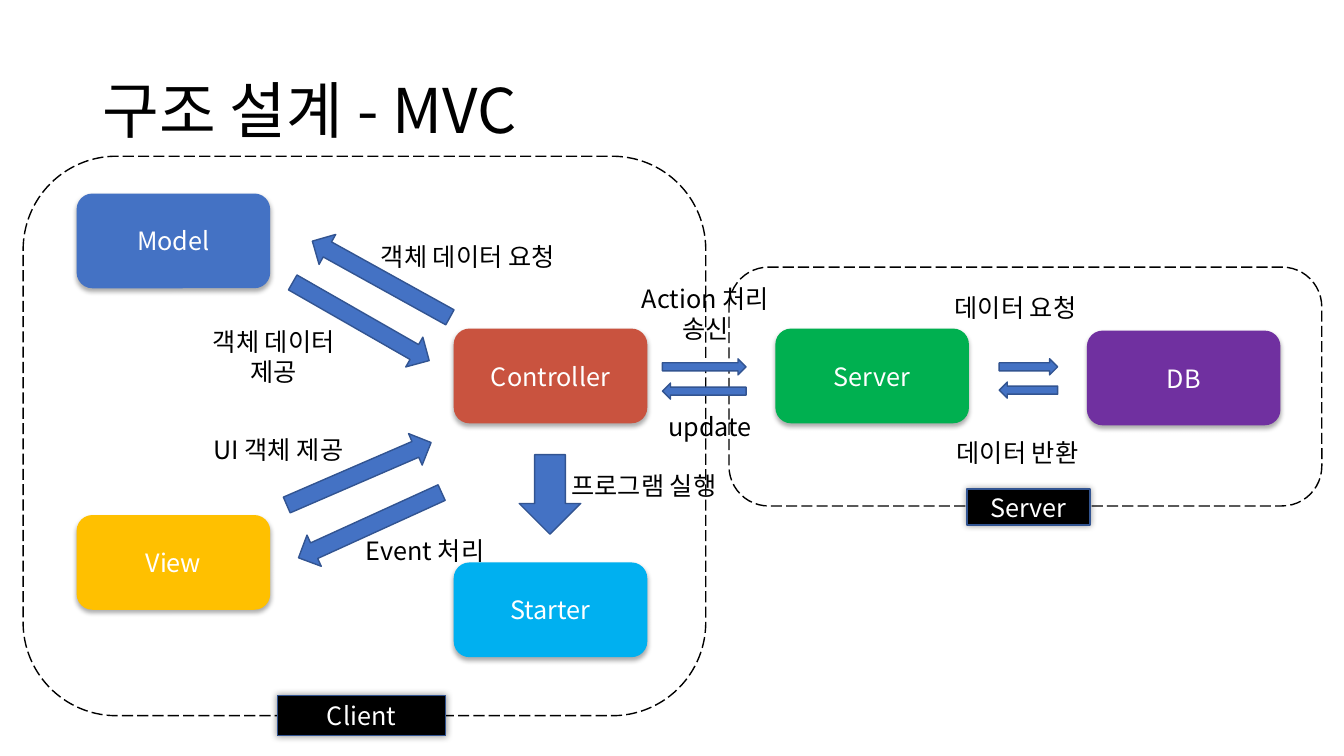
from pptx import Presentation
from pptx.dml.color import RGBColor
from pptx.enum.dml import MSO_LINE
from pptx.enum.shapes import MSO_SHAPE as Shape
from pptx.enum.text import MSO_ANCHOR as Anchor, PP_ALIGN as Align
from pptx.oxml.ns import qn
from pptx.util import Pt
from lxml.etree import SubElement

PX = 9144  # 100 px to the inch
FONT = "Noto Sans CJK KR"
NODE_SIZE = (192, 94)
COLORS = {
    "black": "000000", "white": "FFFFFF", "arrow": "4472C4", "edge": "325491",
    "model": "4472C4", "view": "FFC000", "controller": "C9533F",
    "starter": "00B0F0", "server": "00B050", "db": "7030A0",
}


def color(name):
    return RGBColor.from_string(COLORS[name])


def write(shape, text, ink, size=18, align=Align.LEFT, anchor=Anchor.TOP):
    frame = shape.text_frame
    frame.word_wrap = True
    frame.vertical_anchor = anchor
    para = frame.paragraphs[0]
    para.alignment = align
    span = para.add_run()
    span.text = text
    span.font.size = Pt(size)
    span.font.name = FONT
    span.font.color.rgb = color(ink)
    SubElement(span.font._element, qn("a:ea")).set("typeface", FONT)
    return para


def add_label(page, box, text, align=Align.LEFT, **style):
    shape = page.shapes.add_textbox(*(v * PX for v in box))
    return write(shape, text, "black", align=align, **style)


def add_block(page, kind, box, fill=None, line=None):
    shape = page.shapes.add_shape(kind, *(v * PX for v in box))
    if fill:
        shape.fill.solid()
        shape.fill.fore_color.rgb = color(fill)
    else:
        shape.fill.background()
    if line:
        shape.line.color.rgb = color(line)
        shape.line.width = Pt(1)
    else:
        shape.line.fill.background()
    shape.shadow.inherit = False
    return shape


def add_shadow(shape, alpha, blur, distance, angle):
    effects = shape._element.spPr.find(qn("a:effectLst"))
    outer = SubElement(effects, qn("a:outerShdw"), blurRad=str(Pt(blur)),
                       dist=str(Pt(distance)), dir=str(angle * 60000),
                       algn="ctr", rotWithShape="0")
    tint = SubElement(outer, qn("a:srgbClr"), val=COLORS["black"])
    SubElement(tint, qn("a:alpha"), val=str(alpha * 1000))


def add_node(page, left, top, text, fill):
    node = add_block(page, Shape.ROUNDED_RECTANGLE, (left, top, *NODE_SIZE), fill)
    add_shadow(node, 32, 3.5, 2.2, 90)
    write(node, text, "white", align=Align.CENTER, anchor=Anchor.MIDDLE)


def add_arrow(page, box, angle=0, kind=Shape.RIGHT_ARROW):
    arrow = add_block(page, kind, box, "arrow", "edge")
    arrow.rotation = angle


def add_exchange(page, left, top, width, gap):
    """A request arrow with its reply arrow below."""
    add_arrow(page, (left, top, width, 16))
    add_arrow(page, (left, top + gap, width, 16), 180)


def add_frame(page, box, tag_box, name):
    """A dashed outline with a black name tag on its lower edge."""
    frame = add_block(page, Shape.ROUNDED_RECTANGLE, box, line="black")
    frame.line.dash_style = MSO_LINE.LONG_DASH
    tag = add_block(page, Shape.RECTANGLE, tag_box, "black", "edge")
    add_shadow(tag, 40, 5, 0, 0)
    write(tag, name, "white", align=Align.CENTER, anchor=Anchor.MIDDLE)


def add_title(page, box):
    para = add_label(page, box, "구조 설계 - MVC", size=44, anchor=Anchor.MIDDLE)
    para.line_spacing = 0.9


def add_client(page, box):
    left, top = box[:2]
    # Components
    for dx, dy, text in ((53, 37, "Model"), (53, 356, "View"),
                         (427, 171, "Controller"), (427, 403, "Starter")):
        add_node(page, left + dx, top + dy, text, text.lower())
    # Arrows between components
    add_arrow(page, (left + 492, top + 296, 61, 79), kind=Shape.DOWN_ARROW)
    for dx, dy, angle in ((257, 147, 29.8), (277, 105, 209),
                          (266, 349, 155.5), (255, 298, 336.6)):
        add_arrow(page, (left + dx, top + dy, 156, 34), angle)
    # Arrow labels
    for dx, dy, width, height, text, align in (
            (345, 79, 215, 40, "객체 데이터 요청", Align.LEFT),
            (170, 164, 157, 71, "객체 데이터 제공", Align.CENTER),
            (330, 371, 143, 40, "Event 처리", Align.LEFT),
            (179, 271, 165, 40, "UI 객체 제공", Align.LEFT),
            (534, 307, 183, 40, "프로그램 실행", Align.LEFT)):
        add_label(page, (left + dx, top + dy, width, height), text, align)
    add_frame(page, box, (left + 252, top + 535, 167, 40), "Client")


def add_server(page, box):
    left, top = box[:2]
    add_node(page, left + 46, top + 61, "Server", "server")
    add_node(page, left + 355, top + 63, "DB", "db")
    add_exchange(page, left + 268, top + 91, 58, 23)
    add_label(page, (left + 214, top + 20, 165, 40), "데이터 요청")
    add_label(page, (left + 216, top + 164, 157, 40), "데이터 반환")
    add_frame(page, box, (left + 236, top + 220, 122, 36), "Server")


def add_link(page, box):
    """Traffic between client and server."""
    left, top = box[:2]
    add_exchange(page, left + 34, top + 80, 83, 24)
    add_label(page, (left, top, 153, 71), "Action 처리 송신", Align.CENTER)
    add_label(page, (left + 30, top + 127, 135, 40), "update")


def main():
    deck = Presentation()
    deck.slide_width, deck.slide_height = 1333 * PX, 750 * PX
    page = deck.slides.add_slide(deck.slide_layouts[6])
    add_title(page, (92, 40, 1150, 145))
    add_client(page, (23, 155, 677, 555))
    add_server(page, (723, 265, 588, 237))
    add_link(page, (623, 276, 165, 167))
    deck.save("out.pptx")


if __name__ == "__main__":
    main()
